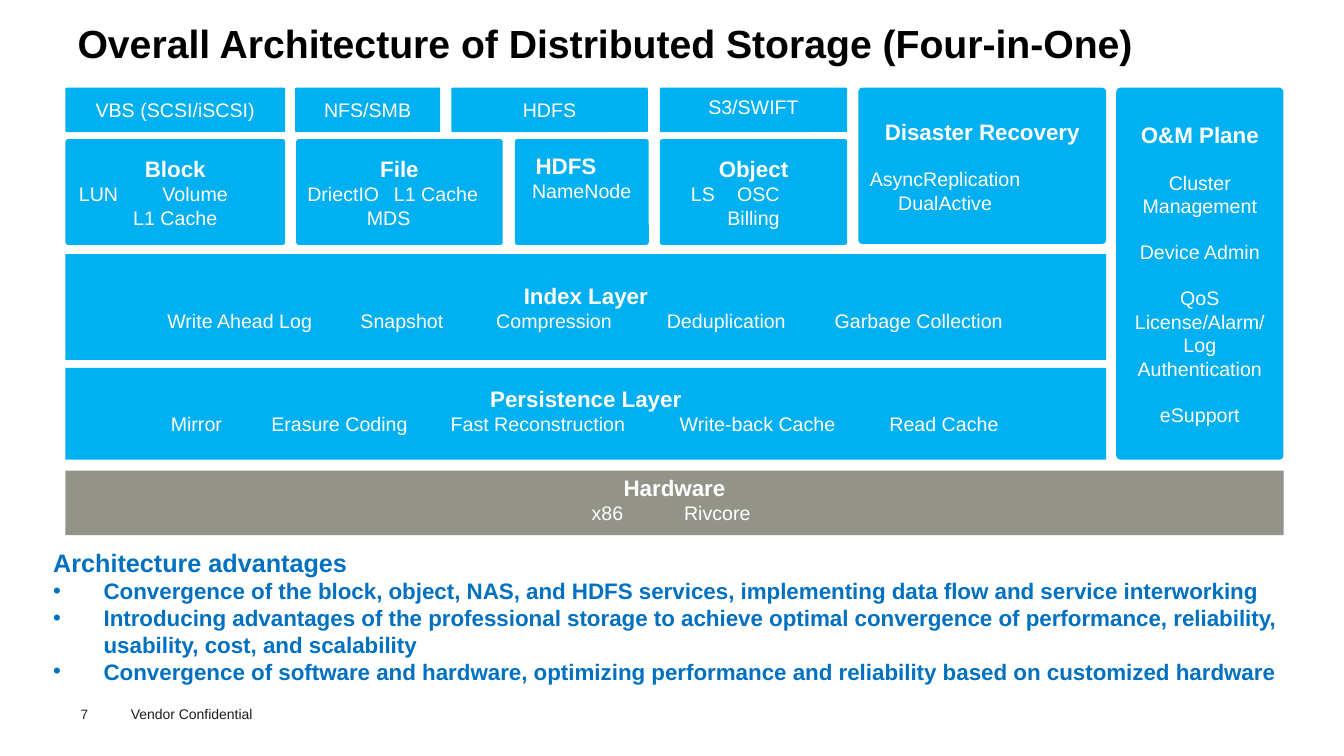
from dataclasses import dataclass

from lxml.etree import SubElement
from pptx import Presentation
from pptx.dml.color import RGBColor
from pptx.enum.shapes import MSO_SHAPE
from pptx.enum.text import MSO_ANCHOR, PP_ALIGN
from pptx.oxml.ns import qn
from pptx.util import Inches, Pt

CYAN = RGBColor(0x00, 0xB0, 0xF0)
GRAY = RGBColor(0x93, 0x93, 0x87)
BLUE = RGBColor(0x00, 0x70, 0xC0)
WHITE = RGBColor(0xFF, 0xFF, 0xFF)
BLACK = RGBColor(0x00, 0x00, 0x00)
INK = RGBColor(0x1D, 0x1D, 0x1B)

LEFT, TOP, ROW2 = 0.65, 0.87, 1.38
HEAD_H, SERVICE_H = 0.44, 1.05
LAYER_W = 10.33
WIDE = (0.13, 0.07, 0.13, 0.07)
NARROW = (0.08, 0.07, 0.08, 0.07)
FLAT = (0.05, 0, 0.05, 0.07)
PLAIN = (0.1, 0.05, 0.1, 0.05)


@dataclass
class Line:
    """One line of text, with items centred on tab stops if there are any."""
    text: str
    stops: tuple = ()
    gap: int = 0


class Deck:
    """Draws styled elements on the current slide."""

    def __init__(self, prs, font="Arial"):
        self.font = font
        self.s = prs.slides.add_slide(prs.slide_layouts[6])

    def frame(self, sp, ins, anchor):
        tf = sp.text_frame
        tf.word_wrap = True
        tf.vertical_anchor = anchor
        tf.margin_left, tf.margin_top, tf.margin_right, tf.margin_bottom = map(Inches, ins)
        return tf

    def style(self, p, size, color, bold=False):
        for r in p.runs:
            r.font.name = self.font
            r.font.size = Pt(size)
            r.font.bold = bold
            r.font.color.rgb = color

    def center_on_tabs(self, p, stops):
        tabs = SubElement(p._p.get_or_add_pPr(), qn("a:tabLst"))
        for stop in stops:
            SubElement(tabs, qn("a:tab"), pos=str(Inches(stop)), algn="ctr")

    def bullet(self, p):
        pPr = p._p.get_or_add_pPr()
        pPr.set("marL", str(Inches(0.5)))
        pPr.set("indent", str(-Inches(0.5)))
        SubElement(pPr, qn("a:buFont"), typeface=self.font)
        SubElement(pPr, qn("a:buChar"), char="•")

    def text(self, at, lines, sizes, color, bold=False, ins=PLAIN, anchor=MSO_ANCHOR.TOP):
        sp = self.s.shapes.add_textbox(*map(Inches, at))
        tf = self.frame(sp, ins, anchor)
        for i, line in enumerate(lines):
            p = tf.paragraphs[0] if i == 0 else tf.add_paragraph()
            p.text = line
            if i:
                self.bullet(p)
            self.style(p, sizes[min(i, len(sizes) - 1)], color, bold)

    def box(self, at, lines, ins=WIDE, fill=CYAN, rounded=True):
        kind = MSO_SHAPE.ROUNDED_RECTANGLE if rounded else MSO_SHAPE.RECTANGLE
        sp = self.s.shapes.add_shape(kind, *map(Inches, at))
        if rounded:
            sp.adjustments[0] = 0.026
        sp.shadow.inherit = False
        sp.fill.solid()
        sp.fill.fore_color.rgb = fill
        sp.line.fill.background()
        tf = self.frame(sp, ins, MSO_ANCHOR.MIDDLE)
        for i, line in enumerate(lines):
            p = tf.paragraphs[0] if i == 0 else tf.add_paragraph()
            p.text = line.text
            p.alignment = PP_ALIGN.LEFT if line.stops else PP_ALIGN.CENTER
            if line.stops:
                self.center_on_tabs(p, line.stops)
            if line.gap:
                p.space_before = Pt(line.gap)
            heading = i == 0 and len(lines) > 1
            self.style(p, 16 if heading else 14, WHITE, heading)


def main():
    prs = Presentation()
    prs.slide_width, prs.slide_height = Inches(13.34), Inches(7.5)
    deck = Deck(prs)

    deck.text((1.2, 6.95, 1.6, 0.27), ["Vendor Confidential"], [10], INK)
    deck.text((0.8, 7, 0.55, 0.16), ["7"], [9.7], INK, ins=(0, 0, 0, 0))
    deck.text((0.77, 0.14, 12.29, 0.53),
              ["Overall Architecture of Distributed Storage (Four-in-One)"],
              [28], BLACK, True, (0, 0.05, 0.1, 0.05))
    deck.text((0.43, 5.42, 12.52, 1.38), [
        "Architecture advantages",
        "Convergence of the block, object, NAS, and HDFS services, implementing data flow "
        "and service interworking",
        "Introducing advantages of the professional storage to achieve optimal convergence "
        "of performance, reliability, usability, cost, and scalability",
        "Convergence of software and hardware, optimizing performance and reliability based "
        "on customized hardware",
    ], [18, 16], BLUE, True, anchor=MSO_ANCHOR.MIDDLE)

    protocols = [
        (LEFT, 2.18, "VBS (SCSI/iSCSI)", WIDE),
        (2.93, 1.44, "NFS/SMB", (0, 0.07, 0, 0.07)),
        (4.48, 1.95, "HDFS", WIDE),
        (6.55, 1.86, "S3/SWIFT", FLAT),
    ]
    for x, w, name, ins in protocols:
        deck.box((x, TOP, w, HEAD_H), [Line(name)], ins)

    services = [
        (LEFT, 2.18, NARROW, [Line("Block"), Line("\tLUN\tVolume", (0.24, 1.2)),
                              Line("L1 Cache")]),
        (2.94, 2.05, NARROW, [Line("File"), Line("\tDriectIO\tL1 Cache", (0.38, 1.3)),
                              Line("\tMDS", (0.83,))]),
        (5.11, 1.33, (0.08, 0.07, 0.08, 0.36), [Line("\tHDFS", (0.42,)), Line("NameNode")]),
        (6.55, 1.86, WIDE, [Line("Object"), Line("\tLS\tOSC", (0.29, 0.84)),
                            Line("Billing")]),
    ]
    for x, w, ins, lines in services:
        deck.box((x, ROW2, w, SERVICE_H), lines, ins)

    deck.box((8.52, TOP, 2.46, 1.55), [
        Line("Disaster Recovery"),
        Line("\tAsyncReplication", (0.77,), 16),
        Line("\tDualActive", (0.77,)),
    ], NARROW)
    deck.box((11.08, TOP, 1.66, 3.69), [
        Line("O&M Plane"),
        Line("Cluster Management", gap=16),
        Line("Device Admin", gap=16),
        Line("QoS", gap=16),
        Line("License/Alarm/"),
        Line("Log"),
        Line("Authentication"),
        Line("eSupport", gap=16),
    ], NARROW)

    layers = [
        (2.52, 1.05, LAYER_W, WIDE, CYAN, "Index Layer",
         "\tWrite Ahead Log\tSnapshot\tCompression\tDeduplication\tGarbage Collection",
         (1.6, 3.21, 4.72, 6.43, 8.34)),
        (3.65, 0.91, LAYER_W, FLAT, CYAN, "Persistence Layer",
         "\tMirror\tErasure Coding\tFast Reconstruction\tWrite-back Cache\tRead Cache",
         (1.25, 2.67, 4.64, 6.82, 8.67)),
        (4.67, 0.64, 12.09, FLAT, GRAY, "Hardware", "\tx86\tRivcore", (5.33, 6.42)),
    ]
    for y, h, w, ins, fill, name, items, stops in layers:
        deck.box((LEFT, y, w, h), [Line(name), Line(items, stops)], ins, fill, False)

    prs.save("out.pptx")


if __name__ == "__main__":
    main()
